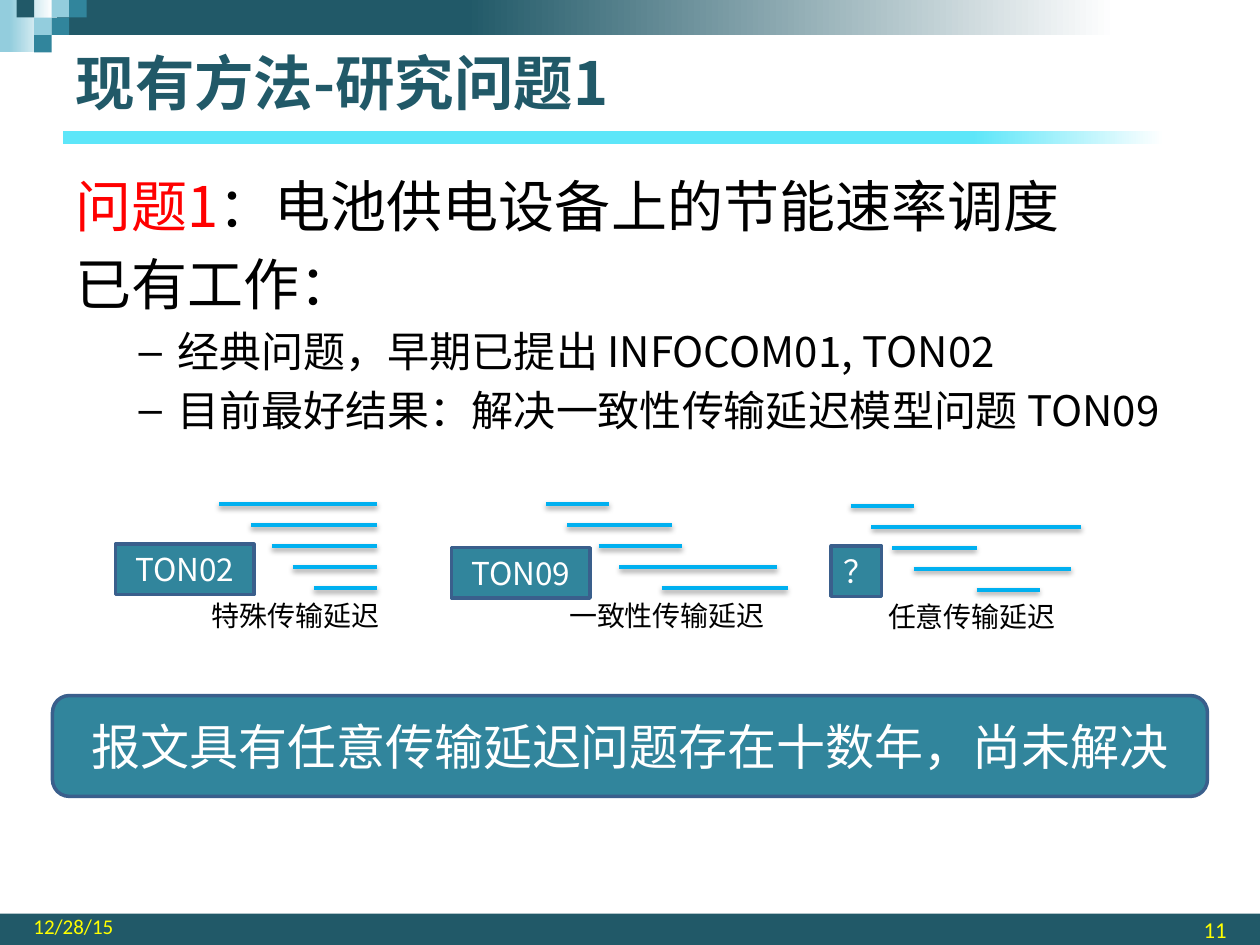
from dataclasses import dataclass

import lxml.etree
import pptx
import pptx.dml.color
import pptx.enum.shapes
import pptx.enum.text
import pptx.oxml
import pptx.oxml.ns
import pptx.util

Pt = pptx.util.Pt
Align = pptx.enum.text.PP_ALIGN
Anchor = pptx.enum.text.MSO_ANCHOR
AutoSize = pptx.enum.text.MSO_AUTO_SIZE
ShapeKind = pptx.enum.shapes.MSO_SHAPE
qn = pptx.oxml.ns.qn


@dataclass(frozen=True)
class Theme:
    """Colours, fonts and type sizes of the slide."""
    dark: str = "215968"
    teal: str = "31859C"
    light: str = "93CDDD"
    cyan: str = "5DE6F9"
    white: str = "FFFFFF"
    black: str = "000000"
    red: str = "FF0000"
    yellow: str = "FFFF00"
    outline: str = "3A5F8C"
    interval: str = "00B0F0"
    font: str = "Noto Sans CJK SC"
    footer_font: str = "Calibri"
    title_size: float = 34
    body_size: float = 32
    detail_size: float = 24
    conclusion_size: float = 28
    label_size: float = 18
    caption_size: float = 16
    date_size: float = 12
    number_size: float = 13


THEME = Theme()


@dataclass(frozen=True)
class Box:
    """A rectangle in points."""
    left: float
    top: float
    width: float
    height: float

    def lengths(self) -> tuple:
        """Return the four lengths for the shape methods."""
        return Pt(self.left), Pt(self.top), Pt(self.width), Pt(self.height)


@dataclass(frozen=True)
class DelayModel:
    """Transmission intervals with a label and a caption."""
    label: str
    label_box: Box
    caption: str
    caption_box: Box
    top: float
    intervals: tuple


MODELS = (
    DelayModel("TON02", Box(66, 311, 79.2, 28.8), "特殊传输延迟", Box(113.8, 338.4, 111.6, 26.6), 288,
               ((125.3, 215.3), (143.3, 215.3), (155.3, 215.3), (167.3, 215.3), (179.3, 215.3))),
    DelayModel("TON09", Box(258, 313, 79.2, 28.8), "一致性传输延迟", Box(318.2, 338.4, 127.4, 26.6), 288,
               ((312, 348), (324, 384), (342, 390), (354, 444), (378, 450))),
    DelayModel("？", Box(475, 312, 28.8, 28.8), "任意传输延迟", Box(500.4, 339.2, 111.6, 26.6), 289,
               ((486, 522), (498, 618), (510, 558), (522, 612), (558, 594))),
)
INTERVAL_STEP = 12
CELL = 10
CELLS = ((3, 0, THEME.light), (4, 0, THEME.teal), (2, 1, THEME.light),
         (1, 0, THEME.dark), (3, 1, THEME.teal), (2, 2, THEME.teal))
DETAILS = ("经典问题，早期已提出 INFOCOM01, TON02", "目前最好结果：解决一致性传输延迟模型问题 TON09")


def rgb(value: str) -> pptx.dml.color.RGBColor:
    """Turn a hex string into a colour."""
    return pptx.dml.color.RGBColor.from_string(value)


def format_run(run, size: float, color: str, font: str = THEME.font, bold: bool = False) -> None:
    """Set the font of a run for Latin and East Asian text."""
    run.font.size = Pt(size)
    run.font.bold = bold
    run.font.color.rgb = rgb(color)
    run.font.name = font
    east_asian = lxml.etree.Element(qn("a:ea"), typeface=font)
    run.font._element.find(qn("a:latin")).addnext(east_asian)


def write_text(shape, text: str, size: float, color: str, align=Align.LEFT,
               anchor=Anchor.TOP, font: str = THEME.font, bold: bool = False, wrap: bool = True) -> None:
    """Write one formatted paragraph into a shape."""
    frame = shape.text_frame
    frame.text = text
    frame.word_wrap = wrap
    frame.auto_size = AutoSize.NONE
    frame.vertical_anchor = anchor
    paragraph = frame.paragraphs[0]
    paragraph.alignment = align
    format_run(paragraph.runs[0], size, color, font, bold)


def add_block(slide, box: Box, fill: str, kind=ShapeKind.RECTANGLE):
    """Add a filled shape without line or shadow."""
    shape = slide.shapes.add_shape(kind, *box.lengths())
    shape.shadow.inherit = False
    shape.fill.solid()
    shape.fill.fore_color.rgb = rgb(fill)
    shape.line.fill.background()
    return shape


def add_fade(slide, box: Box, color: str, start: float, end: float) -> None:
    """Add a bar that fades to white from left to right."""
    shape = add_block(slide, box, color)
    shape.fill.gradient()
    shape.fill.gradient_angle = 0
    for stop, position, value in zip(shape.fill.gradient_stops, (start, end), (color, THEME.white)):
        stop.position = position
        stop.color.rgb = rgb(value)


def add_label(slide, box: Box, text: str, size: float, kind=ShapeKind.RECTANGLE) -> None:
    """Add an outlined block with centred white text."""
    shape = add_block(slide, box, THEME.teal, kind)
    shape.line.color.rgb = rgb(THEME.outline)
    shape.line.width = Pt(2)
    write_text(shape, text, size, THEME.white, Align.CENTER, Anchor.MIDDLE)


def add_interval(slide, start: float, end: float, top: float) -> None:
    """Add a horizontal interval line with a soft shadow."""
    line = slide.shapes.add_connector(pptx.enum.shapes.MSO_CONNECTOR.STRAIGHT,
                                      Pt(start), Pt(top), Pt(end), Pt(top))
    line.line.color.rgb = rgb(THEME.interval)
    line.line.width = Pt(2.25)
    effects = lxml.etree.SubElement(line._element.spPr, qn("a:effectLst"))
    shadow = lxml.etree.SubElement(effects, qn("a:outerShdw"), blurRad=str(Pt(3.1)),
                                   dist=str(Pt(1.6)), dir="5400000", rotWithShape="0")
    color = lxml.etree.SubElement(shadow, qn("a:srgbClr"), val=THEME.black)
    lxml.etree.SubElement(color, qn("a:alpha"), val="38000")


def add_model(slide, model: DelayModel) -> None:
    """Draw one delay model."""
    for row, (start, end) in enumerate(model.intervals):
        add_interval(slide, start, end, model.top + row * INTERVAL_STEP)
    caption = slide.shapes.add_textbox(*model.caption_box.lengths())
    write_text(caption, model.caption, THEME.caption_size, THEME.black, wrap=False)
    add_label(slide, model.label_box, model.label, THEME.label_size)


def place(shape, box: Box) -> None:
    """Move and size a placeholder."""
    shape.left, shape.top, shape.width, shape.height = box.lengths()


def set_bullet(paragraph, margin: float, indent: float, bullet: str = "") -> None:
    """Set the indents and the bullet of a paragraph."""
    properties = paragraph._p.get_or_add_pPr()
    properties.set("marL", str(Pt(margin)))
    properties.set("indent", str(Pt(indent)))
    if bullet:
        lxml.etree.SubElement(properties, qn("a:buChar"), char=bullet)
    else:
        lxml.etree.SubElement(properties, qn("a:buNone"))


def fill_body(body) -> None:
    """Write the problem statement and the list of earlier work."""
    place(body, Box(36, 94.3, 660, 422))
    frame = body.text_frame
    frame.auto_size = AutoSize.NONE
    problem = frame.paragraphs[0]
    for text, color in (("问题1", THEME.red), ("：电池供电设备上的节能速率调度", THEME.black)):
        run = problem.add_run()
        run.text = text
        format_run(run, THEME.body_size, color)
    set_bullet(problem, 0, 0)
    heading = frame.add_paragraph()
    heading.text = "已有工作："
    format_run(heading.runs[0], THEME.body_size, THEME.black)
    set_bullet(heading, 0, 0)
    for text in DETAILS:
        paragraph = frame.add_paragraph()
        paragraph.text = text
        paragraph.level = 1
        format_run(paragraph.runs[0], THEME.detail_size, THEME.black)
        set_bullet(paragraph, 58.5, -22.5, "–")


def main() -> None:
    """Build and save the slide."""
    presentation = pptx.Presentation()
    presentation.slide_width, presentation.slide_height = Pt(720), Pt(540)
    slide = presentation.slides.add_slide(presentation.slide_layouts[1])
    add_block(slide, Box(0, 522, 720, 18), THEME.dark)
    add_fade(slide, Box(36, 75, 684, 7.6), THEME.cyan, 0.76, 0.92)
    add_fade(slide, Box(0, 0, 30, 30), THEME.light, 0.18, 1)
    add_fade(slide, Box(32.4, 0, 687.6, 20), THEME.dark, 0.34, 0.88)
    for column, row, color in CELLS:
        add_block(slide, Box(column * CELL - 0.5, row * CELL, CELL, CELL), color)
    title = slide.shapes.title
    place(title, Box(36, 22.3, 627, 49))
    write_text(title, "现有方法-研究问题1", THEME.title_size, THEME.dark, anchor=Anchor.MIDDLE, bold=True)
    fill_body(slide.placeholders[1])
    date = slide.shapes.add_textbox(*Box(12, 522, 168, 18).lengths())
    write_text(date, "12/28/15", THEME.date_size, THEME.yellow,
               anchor=Anchor.BOTTOM, font=THEME.footer_font)
    number = slide.shapes.add_textbox(*Box(540, 522, 168, 18).lengths())
    write_text(number, "11", THEME.number_size, THEME.yellow, Align.RIGHT, Anchor.MIDDLE, THEME.footer_font)
    for model in MODELS:
        add_model(slide, model)
    add_label(slide, Box(30, 397.5, 660, 57.6), "报文具有任意传输延迟问题存在十数年，尚未解决",
              THEME.conclusion_size, ShapeKind.ROUNDED_RECTANGLE)
    presentation.save("out.pptx")


if __name__ == "__main__":
    main()
